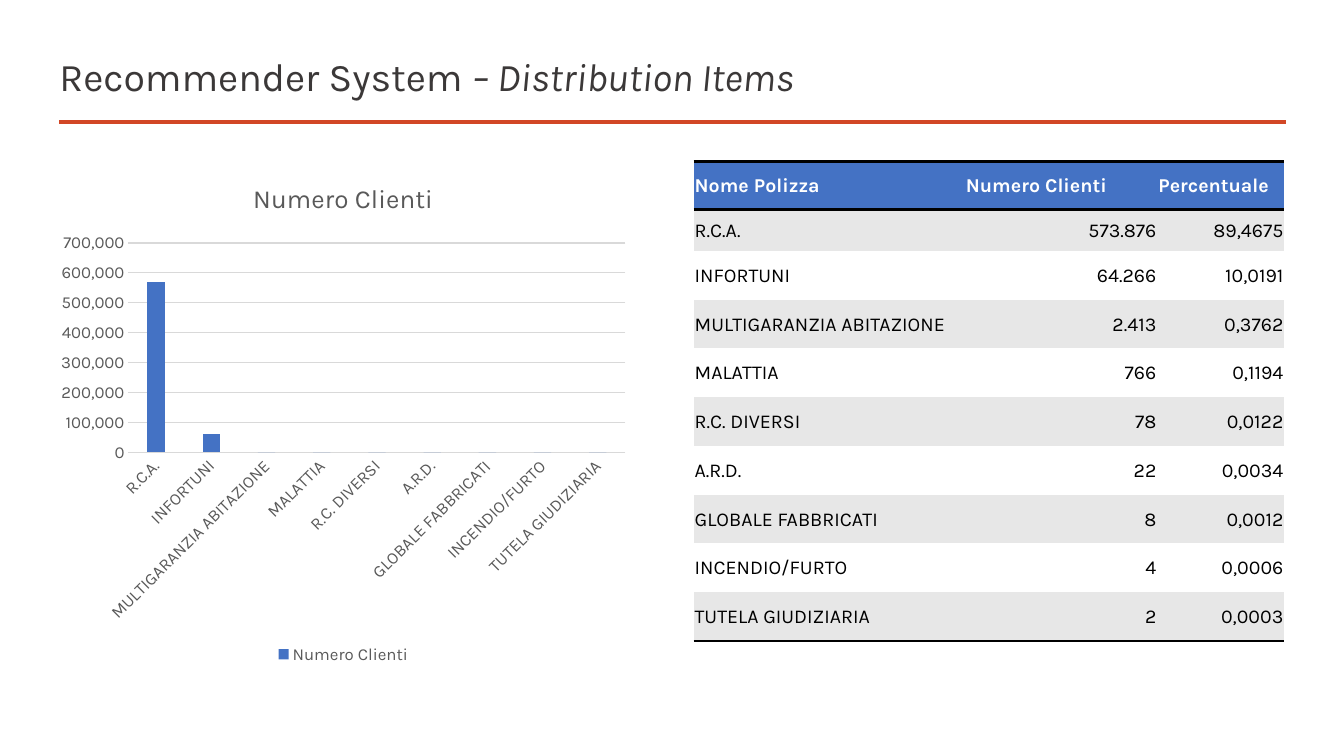
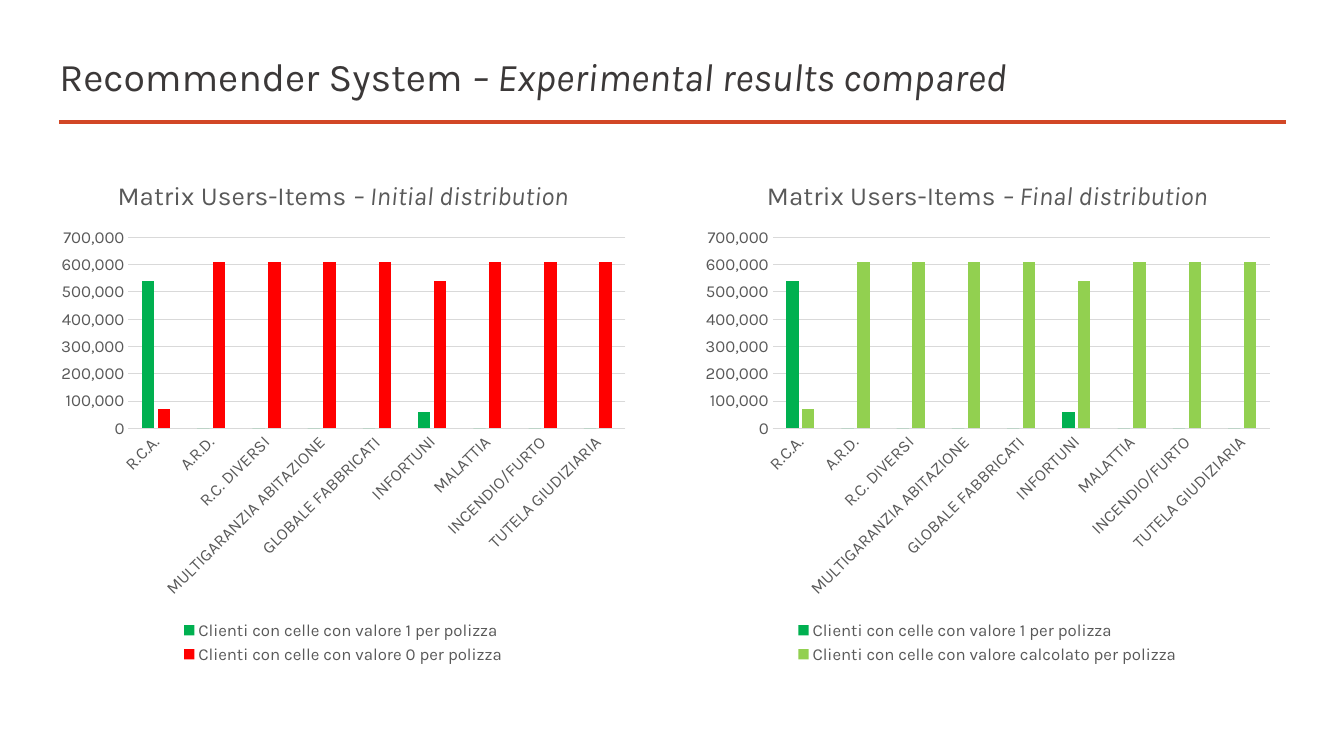
from dataclasses import dataclass

from lxml.etree import SubElement
from pptx import Presentation
from pptx.chart.data import CategoryChartData
from pptx.dml.color import RGBColor
from pptx.enum.chart import XL_CHART_TYPE as Chart, XL_LEGEND_POSITION as Legend, XL_TICK_MARK as Tick
from pptx.enum.shapes import MSO_CONNECTOR as Connector
from pptx.enum.text import MSO_ANCHOR as Anchor, PP_ALIGN as Align
from pptx.oxml.ns import qn
from pptx.util import Inches, Pt

FONT = "Karla"
COLORS = {
    "title": "3B3838",
    "rule": "D24726",
    "muted": "595959",
    "grid": "D9D9D9",
    "blue": "4472C4",
    "green": "00B050",
    "lime": "92D050",
    "red": "FF0000",
    "band": "E7E7E7",
    "white": "FFFFFF",
    "black": "000000",
}
LEFT, RIGHT, TOP = 0.49, 6.88, 1.6
CHART_W, CHART_H = 5.83, 5.03
COL_WIDTHS = (2.69, 1.91, 1.26)
TABLE_H, HEADER_H, FIRST_ROW_H = 4.76, 0.48, 0.41
NO_STYLE = "{2D5ABB26-0587-4C30-8999-92F81FD0307C}"


@dataclass(frozen=True)
class Series:
    name: str
    values: tuple[int, ...]
    color: str


@dataclass(frozen=True)
class ChartPanel:
    left: float
    title: str
    title_italic: str
    categories: tuple[str, ...]
    series: tuple[Series, ...]


@dataclass(frozen=True)
class Policy:
    name: str
    clients: str
    percent: str

    def cells(self) -> tuple[str, str, str]:
        return self.name, self.clients, self.percent


HEADERS = ("Nome Polizza", "Numero Clienti", "Percentuale")
POLICIES = (
    Policy("R.C.A.", "573.876", "89,4675"),
    Policy("INFORTUNI", "64.266", "10,0191"),
    Policy("MULTIGARANZIA ABITAZIONE", "2.413", "0,3762"),
    Policy("MALATTIA", "766", "0,1194"),
    Policy("R.C. DIVERSI", "78", "0,0122"),
    Policy("A.R.D.", "22", "0,0034"),
    Policy("GLOBALE FABBRICATI", "8", "0,0012"),
    Policy("INCENDIO/FURTO", "4", "0,0006"),
    Policy("TUTELA GIUDIZIARIA", "2", "0,0003"),
)
CLIENTS_PANEL = ChartPanel(
    LEFT, "Numero Clienti", "",
    tuple(policy.name for policy in POLICIES),
    (Series("Numero Clienti", (570000, 60000) + (0,) * 7, "blue"),),
)

MATRIX_ITEMS = (
    "R.C.A.", "A.R.D.", "R.C. DIVERSI", "MULTIGARANZIA ABITAZIONE", "GLOBALE FABBRICATI",
    "INFORTUNI", "MALATTIA", "INCENDIO/FURTO", "TUTELA GIUDIZIARIA",
)
OWNED = Series(
    "Clienti con celle con valore 1 per polizza",
    (540000, 0, 0, 0, 0, 60000, 0, 0, 0), "green",
)
OTHERS = (70000,) + (610000,) * 4 + (540000,) + (610000,) * 3


def matrix_panel(left: float, stage: str, cell_value: str, color: str) -> ChartPanel:
    others = Series(f"Clienti con celle con {cell_value} per polizza", OTHERS, color)
    return ChartPanel(left, "Matrix Users-Items ", f"– {stage} distribution",
                      MATRIX_ITEMS, (OWNED, others))


MATRIX_PANELS = (
    matrix_panel(LEFT, "Initial", "valore 0", "red"),
    matrix_panel(RIGHT, "Final", "valore calcolato", "lime"),
)


def rgb(name: str) -> RGBColor:
    return RGBColor.from_string(COLORS[name])


def style_font(font, size: float, color: str, bold: bool = False) -> None:
    font.name, font.size, font.bold = FONT, Pt(size), bold
    font.color.rgb = rgb(color)


def style_line(line, color: str, width: float) -> None:
    line.color.rgb = rgb(color)
    line.width = Pt(width)


def add_runs(p, plain: str, italic: str) -> None:
    p.add_run().text = plain
    if italic:
        r = p.add_run()
        r.text = italic
        r.font.italic = True


def add_titled_slide(prs, subtitle: str):
    s = prs.slides.add_slide(prs.slide_layouts[6])
    rule = s.shapes.add_connector(
        Connector.STRAIGHT, Inches(0.59), Inches(1.21), Inches(12.75), Inches(1.21))
    style_line(rule.line, "rule", 2.25)
    SubElement(rule._element.spPr, qn("a:effectLst"))
    sp = s.shapes.add_textbox(Inches(LEFT), Inches(0.45), Inches(12.26), Inches(0.61))
    tf = sp.text_frame
    tf.word_wrap = True
    tf.vertical_anchor = Anchor.MIDDLE
    p = tf.paragraphs[0]
    style_font(p.font, 28, "title")
    add_runs(p, "Recommender System ", f"– {subtitle}")
    return s


def add_column_chart(s, panel: ChartPanel) -> None:
    data = CategoryChartData(number_format="#,##0")
    data.categories = panel.categories
    for series in panel.series:
        data.add_series(series.name, series.values)
    chart = s.shapes.add_chart(
        Chart.COLUMN_CLUSTERED, Inches(panel.left), Inches(TOP),
        Inches(CHART_W), Inches(CHART_H), data).chart
    style_font(chart.font, 10, "black")

    chart.has_title = True
    p = chart.chart_title.text_frame.paragraphs[0]
    style_font(p.font, 18.6, "muted")
    add_runs(p, panel.title, panel.title_italic)
    chart.chart_title.include_in_layout = False

    chart.has_legend = True
    chart.legend.position = Legend.BOTTOM
    chart.legend.include_in_layout = False
    style_font(chart.legend.font, 12, "muted")

    items, values = chart.category_axis, chart.value_axis
    for axis in (items, values):
        axis.major_tick_mark = axis.minor_tick_mark = Tick.NONE
        style_font(axis.tick_labels.font, 12, "muted")
    style_line(items.format.line, "grid", 0.75)
    label_body = items._element.find(qn("c:txPr")).find(qn("a:bodyPr"))
    label_body.set("rot", "-2700000")
    label_body.set("vert", "horz")
    values.format.line.fill.background()
    style_line(values.major_gridlines.format.line, "grid", 0.75)
    values.minimum_scale, values.maximum_scale, values.major_unit = 0, 700000, 100000
    values.tick_labels.number_format = "#,##0"
    values.tick_labels.number_format_is_linked = False

    plot = chart.plots[0]
    plot.vary_by_categories = False
    plot.gap_width, plot.overlap = 219, -27
    for bars, series in zip(plot.series, panel.series):
        bars.format.fill.solid()
        bars.format.fill.fore_color.rgb = rgb(series.color)


def add_border(cell, side: str) -> None:
    ln = SubElement(cell._tc.get_or_add_tcPr(), qn(f"a:ln{side}"), w=str(Pt(2)))
    fill = SubElement(ln, qn("a:solidFill"))
    SubElement(fill, qn("a:srgbClr"), val=COLORS["black"])


def fill_cell(cell, text: str, row: int, col: int) -> None:
    header = row == 0
    sides = "TB" if header else "B" if row == len(POLICIES) else ""
    for side in sides:
        add_border(cell, side)
    cell.fill.solid()
    cell.fill.fore_color.rgb = rgb("blue" if header else "band" if row % 2 else "white")
    cell.margin_left = cell.margin_right = cell.margin_top = Inches(0.01)
    cell.margin_bottom = Inches(0)
    cell.vertical_anchor = Anchor.MIDDLE
    p = cell.text_frame.paragraphs[0]
    p.alignment = Align.LEFT if header or col == 0 else Align.RIGHT
    style_font(p.font, 14, "white" if header else "black", header)
    p.add_run().text = text


def add_policy_table(s) -> None:
    rows = (HEADERS, *(policy.cells() for policy in POLICIES))
    other_rows = len(rows) - 2
    row_h = (TABLE_H - HEADER_H - FIRST_ROW_H) / other_rows
    heights = (HEADER_H, FIRST_ROW_H) + (row_h,) * other_rows
    table = s.shapes.add_table(
        len(rows), len(HEADERS), Inches(RIGHT), Inches(TOP),
        Inches(sum(COL_WIDTHS)), Inches(TABLE_H)).table
    table._tbl.tblPr.find(qn("a:tableStyleId")).text = NO_STYLE
    table.horz_banding = False
    for column, width in zip(table.columns, COL_WIDTHS):
        column.width = Inches(width)
    for i, (texts, height) in enumerate(zip(rows, heights)):
        table.rows[i].height = Inches(height)
        for j, text in enumerate(texts):
            fill_cell(table.cell(i, j), text, i, j)


def main() -> None:
    prs = Presentation()
    prs.slide_width, prs.slide_height = Inches(13.33), Inches(7.5)

    s = add_titled_slide(prs, "Distribution Items")
    add_column_chart(s, CLIENTS_PANEL)
    add_policy_table(s)

    s = add_titled_slide(prs, "Experimental results compared")
    for panel in MATRIX_PANELS:
        add_column_chart(s, panel)

    prs.save("out.pptx")


if __name__ == "__main__":
    main()
